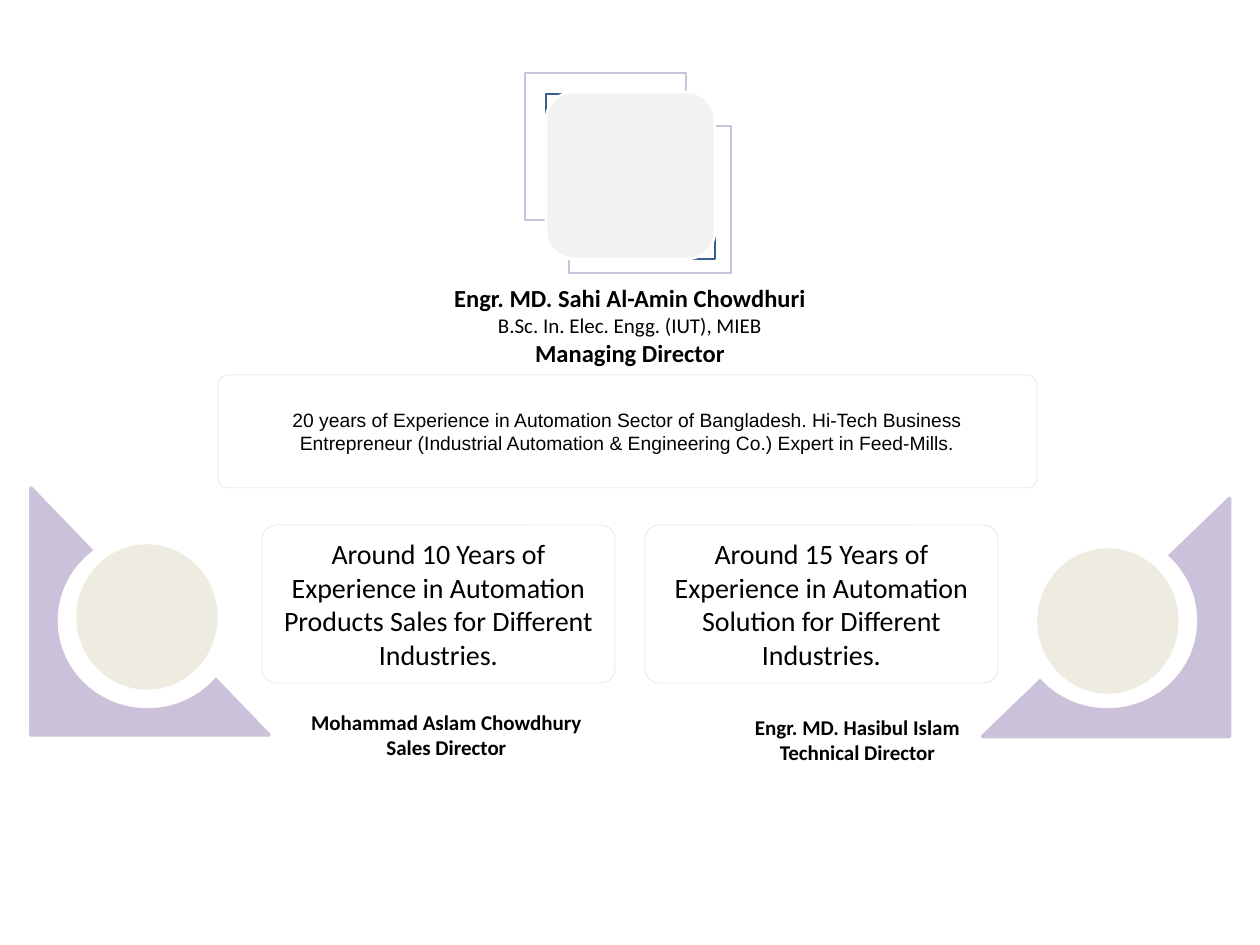
from pptx import Presentation
from pptx.dml.color import RGBColor
from pptx.enum.shapes import MSO_SHAPE as Shape
from pptx.enum.text import MSO_ANCHOR as Anchor, MSO_AUTO_SIZE as AutoSize, PP_ALIGN as Align
from pptx.util import Emu, Pt

PX = 914400 // 126
WHITE, BLACK, LILAC, BLUE = "FFFFFF", "000000", "CCC1DA", "3A5F8C"
CREAM, PALE, EDGE = "EEECE1", "F2F2F2", "D9D9D9"


def color(value):
    return RGBColor.from_string(value)


class Board:
    def __init__(self, width, height):
        self.deck = Presentation()
        self.deck.slide_width, self.deck.slide_height = Emu(width * PX), Emu(height * PX)
        self.slide = self.deck.slides.add_slide(self.deck.slide_layouts[6])

    def shape(self, kind, box, fill, line, weight, rotation=0):
        shape = self.slide.shapes.add_shape(kind, *(Emu(v * PX) for v in box))
        shape.shadow.inherit = False
        shape.fill.solid()
        shape.fill.fore_color.rgb = color(fill)
        shape.line.color.rgb = color(line)
        shape.line.width = Pt(weight)
        shape.rotation = rotation
        return shape

    def add_lines(self, frame, lines, font):
        frame.word_wrap = True
        for i, (text, size, bold) in enumerate(lines):
            paragraph = frame.paragraphs[0] if i == 0 else frame.add_paragraph()
            paragraph.alignment = Align.CENTER
            run = paragraph.add_run()
            run.text = text
            run.font.name, run.font.size, run.font.bold = font, Pt(size), bold
            run.font.color.rgb = color(BLACK)

    def card(self, box, text, size, font="Calibri"):
        card = self.shape(Shape.ROUNDED_RECTANGLE, box, WHITE, EDGE, 0.25)
        card.adjustments[0] = 0.09
        card.text_frame.vertical_anchor = Anchor.MIDDLE
        self.add_lines(card.text_frame, [(text, size, False)], font)

    def caption(self, box, lines):
        frame = self.slide.shapes.add_textbox(*(Emu(v * PX) for v in box)).text_frame
        frame.auto_size = AutoSize.SHAPE_TO_FIT_TEXT
        self.add_lines(frame, lines, "Calibri")


board = Board(1260, 945)

# Managing director: profile and name
board.card((218, 375, 819, 113),
           "20 years of Experience in Automation Sector of Bangladesh. Hi-Tech Business "
           "Entrepreneur (Industrial Automation & Engineering Co.) Expert in Feed-Mills.",
           11, "Arial")
board.caption((0, 277, 1260, 97), [
    ("Engr. MD. Sahi Al-Amin Chowdhuri", 14, True),
    ("B.Sc. In. Elec. Engg. (IUT), MIEB", 12, False),
    ("Managing Director", 14, True)])

# Directors: corner triangle, ring, portrait disc, experience card, name
directors = [
    ((31, 488, 238, 247), 0, (58, 533), (76, 544), 262,
     "Around 10 Years of Experience in Automation Products Sales for Different Industries.",
     (270, 703, 353, 63), "Mohammad Aslam Chowdhury", "Sales Director"),
    ((987, 494, 238, 247), 270, (1018, 533), (1037, 548), 645,
     "Around 15 Years of Experience in Automation Solution for Different Industries.",
     (687, 708, 341, 63), "Engr. MD. Hasibul Islam", "Technical Director"),
]
for corner, turn, ring, portrait, card_left, experience, label, name, title in directors:
    board.shape(Shape.RIGHT_TRIANGLE, corner, LILAC, LILAC, 2, turn)
    board.shape(Shape.OVAL, (*ring, 179, 175), WHITE, WHITE, 0.25)
    board.shape(Shape.OVAL, (*portrait, 142, 146), CREAM, WHITE, 0.25)
    board.card((card_left, 525, 353, 158), experience, 16)
    board.caption(label, [(name, 12, True), (title, 12, True)])

# Managing director: layered portrait frame
for box, line, weight in [
    ((525, 73, 161, 147), LILAC, 1.5),
    ((569, 126, 162, 147), LILAC, 1),
    ((590, 147, 125, 112), BLUE, 1),
    ((546, 94, 31, 31), BLUE, 1.5),
]:
    board.shape(Shape.RECTANGLE, box, WHITE, line, weight)
board.shape(Shape.ROUNDED_RECTANGLE, (546, 92, 169, 167), PALE, WHITE, 1.5)

board.deck.save("out.pptx")
